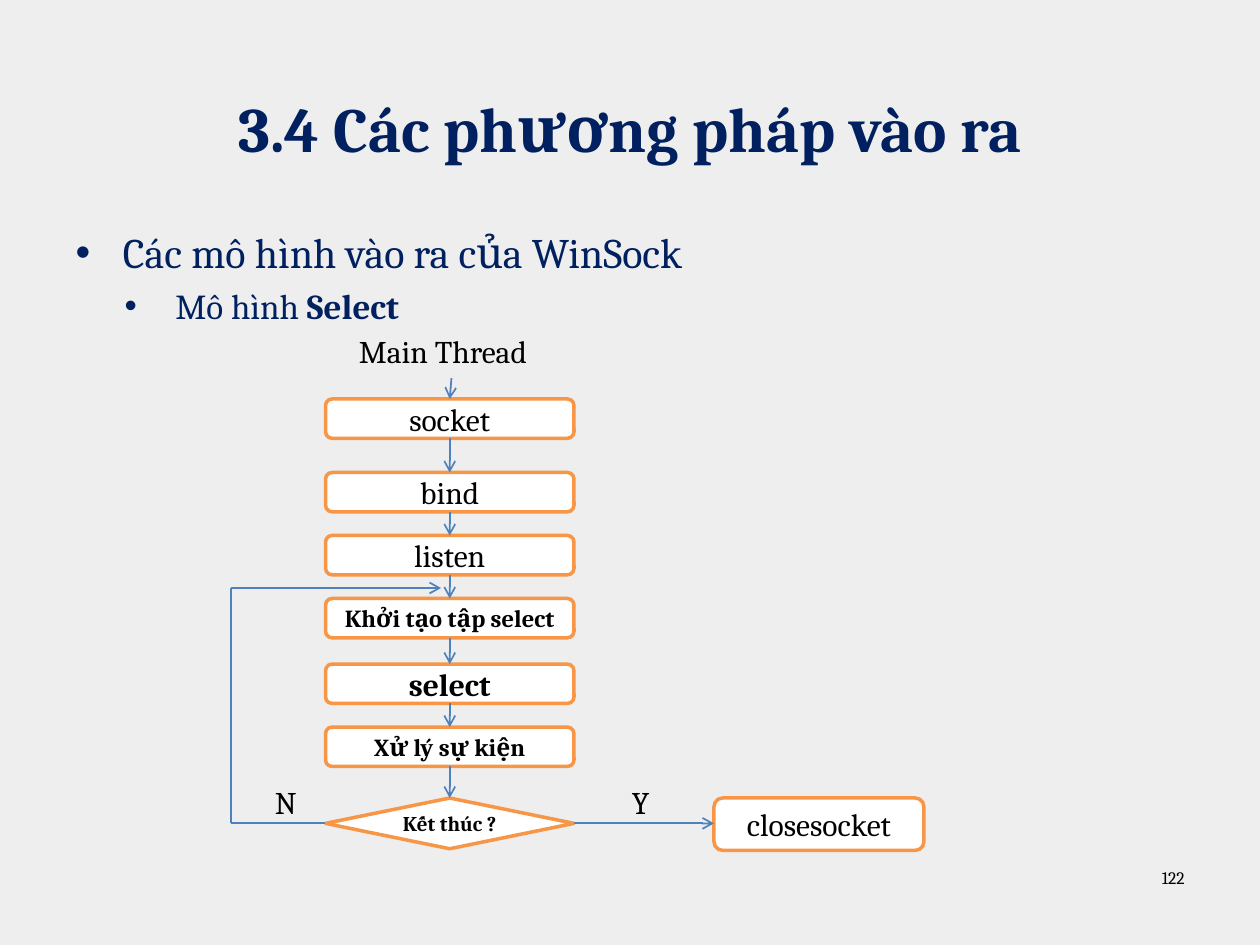
from dataclasses import dataclass

from lxml import etree
from pptx import Presentation
from pptx.dml.color import RGBColor
from pptx.enum.shapes import MSO_CONNECTOR, MSO_SHAPE
from pptx.enum.text import MSO_ANCHOR, PP_ALIGN
from pptx.oxml.ns import qn
from pptx.util import Pt

ROUNDED, DIAMOND = MSO_SHAPE.ROUNDED_RECTANGLE, MSO_SHAPE.DIAMOND
STRAIGHT = MSO_CONNECTOR.STRAIGHT
LEFT, CENTER, RIGHT = PP_ALIGN.LEFT, PP_ALIGN.CENTER, PP_ALIGN.RIGHT
MIDDLE = MSO_ANCHOR.MIDDLE


@dataclass(frozen=True)
class Theme:
    font: str = "Cambria"
    background: RGBColor = RGBColor(0xEE, 0xEE, 0xEE)
    heading: RGBColor = RGBColor(0x00, 0x20, 0x60)
    text: RGBColor = RGBColor(0, 0, 0)
    step_fill: RGBColor = RGBColor(0xFF, 0xFF, 0xFF)
    step_line: RGBColor = RGBColor(0xF7, 0x96, 0x46)
    arrow: RGBColor = RGBColor(0x4F, 0x81, 0xBD)
    title_size: int = 36
    topic_size: int = 24
    model_size: int = 20
    step_size: int = 18
    action_size: int = 14
    decision_size: int = 12
    number_size: int = 10


THEME = Theme()


def style(run, size, color=THEME.text, bold=False):
    run.font.name = THEME.font
    run.font.size = Pt(size)
    run.font.color.rgb = color
    run.font.bold = bold


def place(shape, box):
    shape.left, shape.top, shape.width, shape.height = map(Pt, box)


def add_label(slide, text, box, size, align=LEFT):
    label = slide.shapes.add_textbox(*map(Pt, box))
    label.text_frame.word_wrap = True
    paragraph = label.text_frame.paragraphs[0]
    paragraph.text = text
    paragraph.alignment = align
    style(paragraph.runs[0], size)


def add_step(slide, text, box, size, bold=False, kind=ROUNDED):
    step = slide.shapes.add_shape(kind, *map(Pt, box))
    step.shadow.inherit = False
    step.fill.solid()
    step.fill.fore_color.rgb = THEME.step_fill
    step.line.color.rgb = THEME.step_line
    step.line.width = Pt(2)
    frame = step.text_frame
    frame.margin_left = frame.margin_right = frame.margin_top = frame.margin_bottom = 0
    frame.vertical_anchor = MIDDLE
    frame.text = text
    frame.paragraphs[0].alignment = CENTER
    style(frame.paragraphs[0].runs[0], size, bold=bold)


def add_line(slide, start, end, arrow=True):
    line = slide.shapes.add_connector(STRAIGHT, *map(Pt, (*start, *end)))
    line.line.color.rgb = THEME.arrow
    line.line.width = Pt(1)
    if arrow:
        etree.SubElement(line.line._get_or_add_ln(), qn("a:tailEnd"), type="arrow")
    etree.SubElement(line._element.spPr, qn("a:effectLst"))


def set_bullet(paragraph, margin, hanging):
    properties = paragraph._p.get_or_add_pPr()
    properties.set("marL", str(Pt(margin)))
    properties.set("indent", str(-Pt(hanging)))
    etree.SubElement(properties, qn("a:buChar"), char="•")


def fill_title(slide, box):
    title = slide.shapes.title
    place(title, box)
    title.text_frame.text = "3.4 Các phương pháp vào ra"
    title.text_frame.vertical_anchor = MIDDLE
    heading = title.text_frame.paragraphs[0]
    heading.alignment = CENTER
    style(heading.runs[0], THEME.title_size, THEME.heading, True)


def fill_topics(slide, box):
    body = slide.placeholders[1]
    place(body, box)
    topic = body.text_frame.paragraphs[0]
    topic.text = "Các mô hình vào ra của WinSock"
    set_bullet(topic, 27, 27)
    style(topic.runs[0], THEME.topic_size, THEME.heading)

    model = body.text_frame.add_paragraph()
    model.level = 1
    set_bullet(model, 57, 29)
    for text, bold in (("Mô hình ", False), ("Select", True)):
        run = model.add_run()
        run.text = text
        style(run, THEME.model_size, THEME.heading, bold)


def draw_select_flow(slide, box):
    left, top, width, height = box
    column, step_width, step_height = left + 54, 142, 22.5
    axis = column + step_width / 2
    decision_height, label_height = 29, 29
    decision_top = top + 270
    decision_middle = decision_top + decision_height / 2

    # Main thread: each step is entered from the one above
    add_label(slide, "Main Thread", (column + 12, top, 156, label_height), THEME.step_size)
    steps = (
        ("socket", 42, THEME.step_size, False),
        ("bind", 84, THEME.step_size, False),
        ("listen", 120, THEME.step_size, False),
        ("Khởi tạo tập select", 156, THEME.action_size, True),
        ("select", 193.5, THEME.step_size, True),
        ("Xử lý sự kiện", 229.5, THEME.action_size, True),
    )
    previous = (axis + 1, top + 30)
    for text, offset, size, bold in steps:
        step_top = top + offset
        add_step(slide, text, (column, step_top, step_width, step_height), size, bold)
        add_line(slide, previous, (axis, step_top))
        previous = (axis, step_top + step_height)

    # Decision
    add_step(slide, "Kết thúc ?", (column, decision_top, step_width, decision_height),
             THEME.decision_size, True, DIAMOND)
    add_line(slide, previous, (axis, decision_top))

    # N: back to the start of the loop
    loop_top = top + 150
    add_line(slide, (column, decision_middle), (left, decision_middle), arrow=False)
    add_line(slide, (left, decision_middle), (left, loop_top), arrow=False)
    add_line(slide, (left, loop_top), (axis - 5, loop_top))

    # Y: close the socket
    close_width, close_height = 120, 30
    close_left = left + width - close_width
    add_step(slide, "closesocket",
             (close_left, top + height - close_height, close_width, close_height),
             THEME.step_size)
    add_line(slide, (column + step_width, decision_middle), (close_left, decision_middle))

    # Branch labels
    for text, offset in (("N", 18), ("Y", 222)):
        add_label(slide, text, (left + offset, decision_top - 12, 36, label_height),
                  THEME.step_size)


def main():
    deck = Presentation()
    deck.slide_width, deck.slide_height = Pt(720), Pt(540)
    slide = deck.slides.add_slide(deck.slide_layouts[1])
    slide.background.fill.solid()
    slide.background.fill.fore_color.rgb = THEME.background

    fill_title(slide, (36, 28, 648, 90))
    fill_topics(slide, (36, 126, 648, 356))
    draw_select_flow(slide, (132, 186, 396, 300))
    add_label(slide, "122", (516, 492, 168, 37), THEME.number_size, RIGHT)
    deck.save("out.pptx")


if __name__ == "__main__":
    main()
